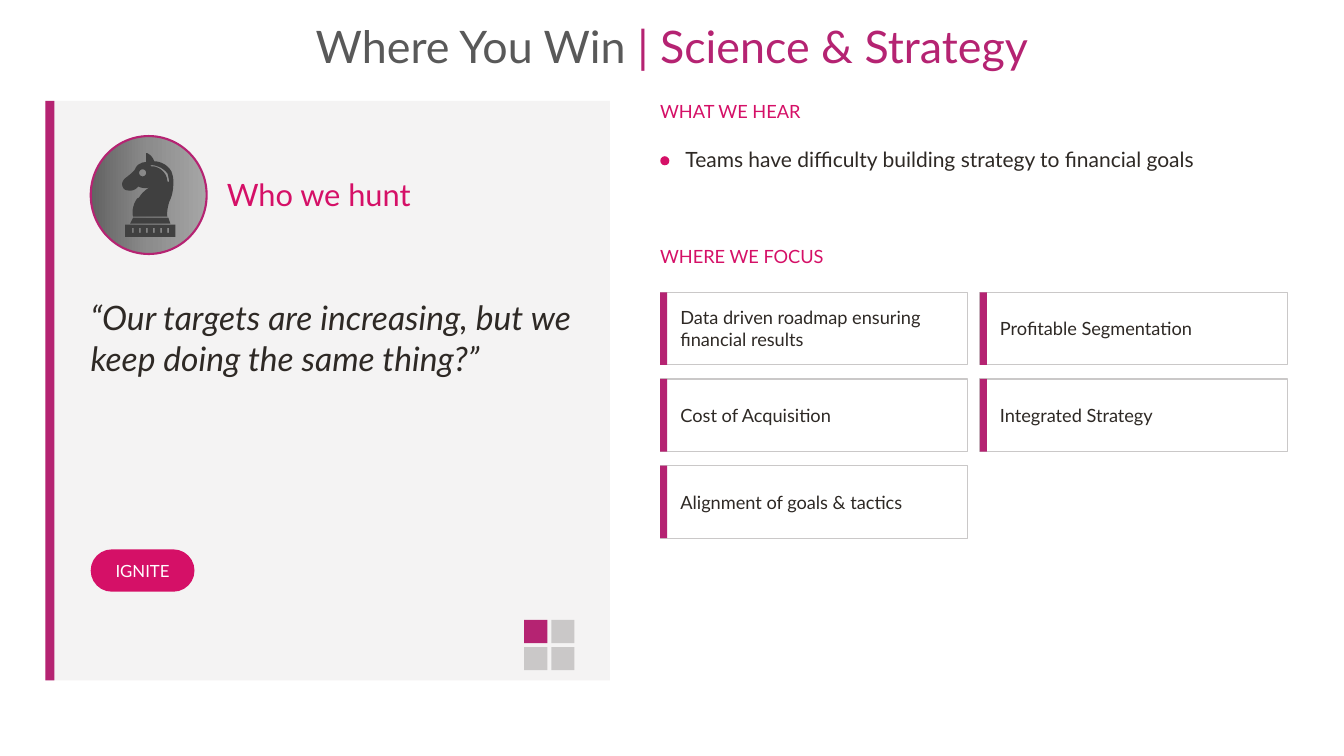
"""Build the "Where You Win" slide on a grid of tenth-inch columns and rows."""
from copy import deepcopy
from math import cos, pi, sin

from pptx import Presentation
from pptx.dml.color import RGBColor
from pptx.enum.shapes import MSO_SHAPE
from pptx.enum.text import MSO_ANCHOR, PP_ALIGN
from pptx.util import Inches, Pt

COLORS = {
    "plum": "B52372", "pink": "D51067", "panel": "F4F3F3", "silver": "CAC8C8",
    "ink": "2E2925", "heading": "595959", "knight": "404040", "white": "FFFFFF",
    "badge_dark": "626262", "badge_mid": "8C8C8C", "badge_light": "A6A6A6",
}
FONT = "Lato"
LEFT, RIGHT, TOP = 9, 65.5, 10
CARD_WIDE, CARD_HIGH, CARD_STEP_X, CARD_STEP_Y = 30.5, 7.2, 31.7, 8.6
FOCUS = [
    "Data driven roadmap ensuring financial results", "Profitable Segmentation",
    "Cost of Acquisition", "Integrated Strategy", "Alignment of goals & tactics",
]
BODY = [
    (14.6, 15.2), (14.6, 15.2, 15.1, 15.4, 15.3, 16), (15.5, 16, 16.5, 16.1, 17, 17),
    (17.1, 17.3, 17.2, 17.6, 17.2, 18), (17.2, 18.4, 17.2, 19.2, 16.8, 20),
    (16.8, 20, 16.5, 20.9, 16.6, 21.5), (13.2, 21.5),
    (13.1, 21.2, 13.1, 20.4, 13.6, 19.7), (13.8, 19.6),
    (13.9, 19.4, 14.2, 19, 14.8, 18.6), (14.5, 18.7, 14.1, 18.7, 13.7, 18.5),
    (13.6, 18.7, 13.2, 19, 12.7, 18.9), (12.5, 18.9, 12.3, 18.8, 12.2, 18.6),
    (12.1, 18.4, 12, 18.1, 12.4, 17.7), (12.4, 17.7, 13.1, 17.2, 13.4, 16.8),
    (13.5, 16.5, 13.7, 16.3, 14, 16.2), (14.1, 16.1, 14.3, 16.1, 14.5, 16.1), (14.5, 15.2),
]
MANE = [
    (15, 16.4), (14.9, 16.45), (15, 16.5), (15.2, 16.5),
    (15.2, 16.5, 16, 16.6, 16.4, 17.3), (16.5, 17.5, 16.6, 17.7, 16.6, 18),
    (16.7, 18.05), (16.8, 18), (16.7, 17.7, 16.7, 17.4, 16.6, 17.2),
    (16.1, 16.5, 15.2, 16.4, 15.2, 16.4),
]
COLLAR = [(13.2, 21.6), (16.7, 21.6), (16.9, 22.2), (12.9, 22.2)]


def grid(*lengths):
    """Turn columns or rows into slide lengths."""
    return [Inches(length / 10) for length in lengths]


def color(name):
    """Look up a named colour."""
    return RGBColor.from_string(COLORS[name])


def write(shape, spans, size, align=PP_ALIGN.LEFT, anchor=MSO_ANCHOR.TOP, italic=False, inset=0):
    """Fill a shape with one paragraph of (text, colour) spans."""
    frame = shape.text_frame
    frame.word_wrap = True
    frame.vertical_anchor = anchor
    frame.margin_left, frame.margin_right = grid(inset, inset)
    frame.margin_top = frame.margin_bottom = 0
    para = frame.paragraphs[0]
    para.alignment = align
    for text, name in spans:
        span = para.add_run()
        span.text = text
        span.font.name = FONT
        span.font.size = Pt(size)
        span.font.italic = italic
        span.font.color.rgb = color(name)
    return para


def add_label(page, place, text, name, size, **style):
    """Add a text box in a single colour."""
    return write(page.shapes.add_textbox(*grid(*place)), [(text, name)], size, **style)


def paint(shape, fill, line=None, weight=0.75):
    """Set fill and outline and drop the shadow."""
    shape.shadow.inherit = False
    shape.fill.solid()
    shape.fill.fore_color.rgb = color(fill)
    if line:
        shape.line.color.rgb = color(line)
        shape.line.width = Pt(weight)
    else:
        shape.line.fill.background()


def add_block(page, place, fill, kind=MSO_SHAPE.RECTANGLE, line=None, weight=0.75):
    """Add a painted preset shape."""
    shape = page.shapes.add_shape(kind, *grid(*place))
    paint(shape, fill, line, weight)
    return shape


def shade(shape, names):
    """Give a shape a left-to-right gradient of three evenly spaced colours."""
    shape.fill.gradient()
    shape.fill.gradient_angle = 0
    first = shape._element.spPr.xpath("./a:gradFill/a:gsLst/a:gs")[0]
    first.addnext(deepcopy(first))
    for index, (stop, name) in enumerate(zip(shape.fill.gradient_stops, names)):
        stop.position = index / 2
        stop.color.rgb = color(name)


def trace(steps, pieces=8):
    """Turn points and cubic curves into a list of points."""
    points = []
    for step in steps:
        if len(step) == 2:
            points.append(step)
            continue
        start, first, second, end = points[-1], step[:2], step[2:4], step[4:]
        for piece in range(1, pieces + 1):
            t = piece / pieces
            weights = ((1 - t) ** 3, 3 * t * (1 - t) ** 2, 3 * t * t * (1 - t), t ** 3)
            points.append(tuple(
                sum(weight * value for weight, value in zip(weights, axis))
                for axis in zip(start, first, second, end)
            ))
    return points


def rectangle(left, top, right, bottom):
    """List the corners of a rectangle."""
    return [(left, top), (right, top), (right, bottom), (left, bottom)]


def add_knight(page):
    """Draw the chess knight with its eye, mane and base slots cut out."""
    eye = [(14.15 + 0.35 * cos(pi * k / 12), 17.15 + 0.35 * sin(pi * k / 12)) for k in range(24)]
    slots = [rectangle(13.1 + 0.7 * k, 22.6, 13.25 + 0.7 * k, 23.1) for k in range(6)]
    outlines = [trace(BODY), trace(MANE), eye, COLLAR, rectangle(12.4, 22.3, 17.4, 23.5), *slots]
    builder = page.shapes.build_freeform(*grid(*outlines[0][0]))
    for index, outline in enumerate(outlines):
        if index:
            builder.move_to(*grid(*outline[0]))
        builder.add_line_segments([grid(*point) for point in outline[1:]], close=True)
    paint(builder.convert_to_shape(), "knight")


def add_card(page, index, text):
    """Add a focus card with its accent bar in a two-column grid."""
    row, column = divmod(index, 2)
    left, top = RIGHT + column * CARD_STEP_X, 29 + row * CARD_STEP_Y
    add_block(page, (left, top, CARD_WIDE, CARD_HIGH), "white", line="silver")
    add_block(page, (left, top, 0.7, CARD_HIGH), "plum")
    add_label(page, (left + 2, top, 27.5, CARD_HIGH), text, "ink", 13, anchor=MSO_ANCHOR.MIDDLE)


def add_quote_panel(page):
    """Add the left panel with badge, quote, pill and tiles."""
    add_block(page, (4.5, TOP, 56, 57.5), "panel")
    add_block(page, (4.5, TOP, 0.9, 57.5), "plum")
    badge = add_block(page, (LEFT, 13.5, 11.5, 11.7), "badge_mid", MSO_SHAPE.OVAL, "plum", 1.5)
    shade(badge, ("badge_dark", "badge_mid", "badge_light"))
    add_knight(page)
    add_label(page, (22.5, 13.5, 36, 11.5), "Who we hunt", "pink", 22, anchor=MSO_ANCHOR.MIDDLE)
    add_label(page, (LEFT, 29.5, 48.5, 23),
              "“Our targets are increasing, but we keep doing the same thing?”",
              "ink", 24, italic=True)
    pill = add_block(page, (LEFT, 54.5, 10.3, 4.2), "pink", MSO_SHAPE.ROUNDED_RECTANGLE)
    pill.adjustments[0] = 0.5
    write(pill, [("IGNITE", "white")], 12, PP_ALIGN.CENTER, MSO_ANCHOR.MIDDLE, inset=0.4)
    for index in range(4):
        row, column = divmod(index, 2)
        add_block(page, (52 + 2.7 * column, 61.5 + 2.7 * row, 2.3, 2.3),
                  "silver" if index else "plum")


def main():
    """Build and save the slide."""
    deck = Presentation()
    deck.slide_width, deck.slide_height = grid(133.33, 75)
    page = deck.slides.add_slide(deck.slide_layouts[6])
    title = page.shapes.add_textbox(*grid(0, 2.5, 133.33, 4.7))
    para = write(title, [("Where You Win ", "heading"), ("| Science & Strategy", "plum")],
                 32, PP_ALIGN.CENTER, MSO_ANCHOR.MIDDLE)
    para.line_spacing = 0.9
    add_quote_panel(page)
    for top, heading in ((TOP, "WHAT WE HEAR"), (24.3, "WHERE WE FOCUS")):
        add_label(page, (RIGHT, top, 63, 4), heading, "pink", 13)
    add_block(page, (RIGHT, 15.5, 0.9, 0.9), "pink", MSO_SHAPE.OVAL)
    add_label(page, (68, 14.5, 60.5, 6.2),
              "Teams have difficulty building strategy to financial goals", "ink", 15)
    for index, text in enumerate(FOCUS):
        add_card(page, index, text)
    deck.save("out.pptx")


if __name__ == "__main__":
    main()
